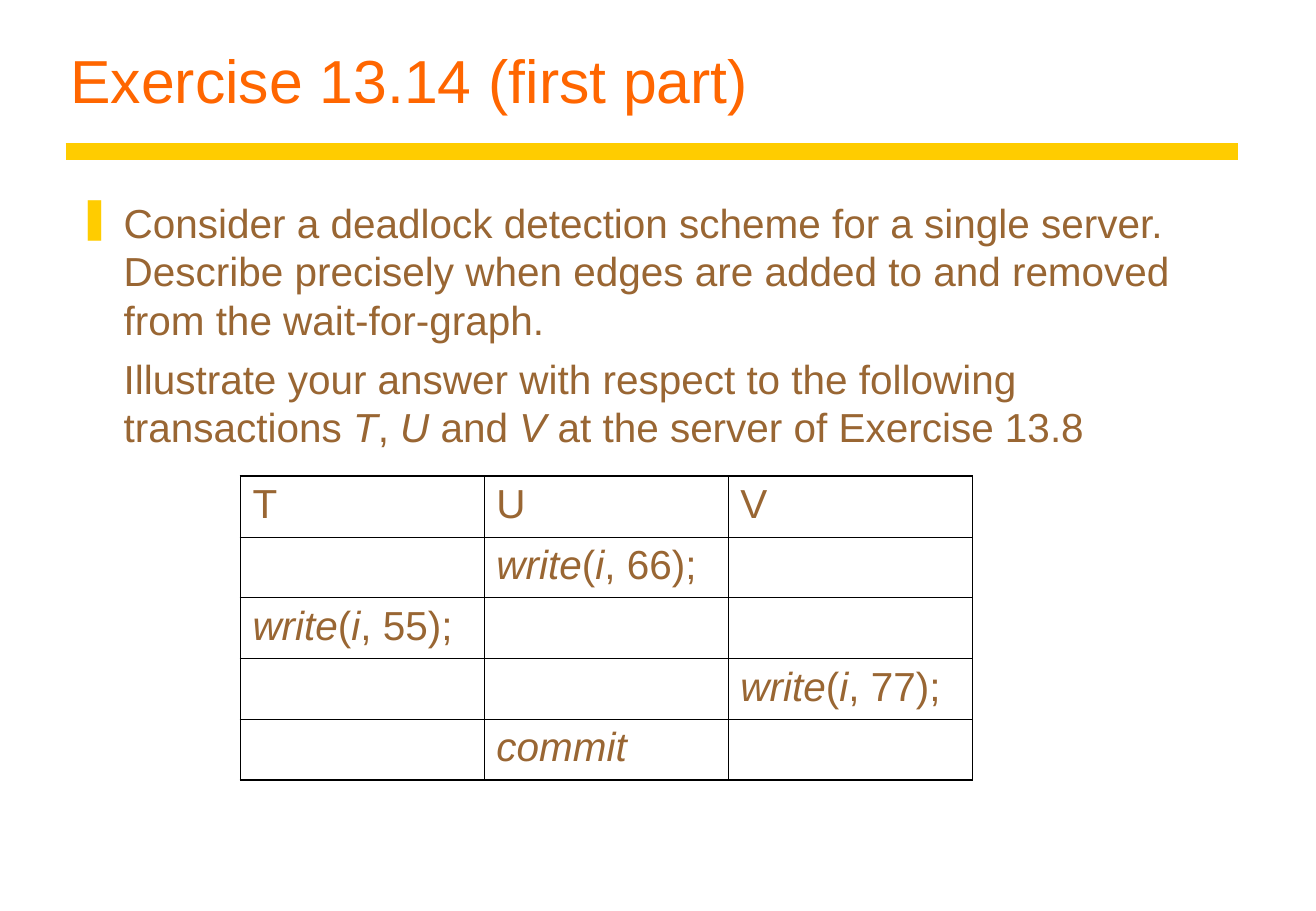
from dataclasses import dataclass

from lxml import etree
from pptx import Presentation
from pptx.dml.color import RGBColor
from pptx.enum.shapes import MSO_CONNECTOR
from pptx.enum.text import MSO_ANCHOR, PP_ALIGN
from pptx.oxml.ns import qn
from pptx.util import Inches, Pt

STRAIGHT = MSO_CONNECTOR.STRAIGHT
BOTTOM = MSO_ANCHOR.BOTTOM
TOP = MSO_ANCHOR.TOP
LEFT = PP_ALIGN.LEFT
TITLE_ONLY = 5


@dataclass(frozen=True)
class Theme:
    font: str = "Arial"
    title: str = "FF6600"
    text: str = "996633"
    accent: str = "FFCC00"
    border: str = "000000"
    title_size: float = 36
    text_size: float = 24
    paragraph_gap: float = 6
    rule_width: float = 10
    outer_border: float = 1.08
    inner_border: float = 0.45


THEME = Theme()

QUESTION = [
    [("Consider a deadlock detection scheme for a single server. Describe precisely "
      "when edges are added to and removed from the wait-for-graph.", False)],
    [("Illustrate your answer with respect to the following transactions ", False),
     ("T", True), (", ", False), ("U", True), (" and ", False), ("V", True),
     (" at the server of Exercise 13.8", False)],
]


def write_step(value):
    """Return the runs of one write operation."""
    return [("write", True), ("(", False), ("i", True), (f", {value});", False)]


SCHEDULE = [
    [[("T", False)], [("U", False)], [("V", False)]],
    [[], write_step(66), []],
    [write_step(55), [], []],
    [[], [], write_step(77)],
    [[], [("commit", True)], []],
]


def add_runs(paragraph, runs, size=THEME.text_size, color=THEME.text):
    """Add (text, italic) runs in the theme font."""
    paragraph.alignment = LEFT
    paragraph.font.size = Pt(size)
    for text, italic in runs:
        run = paragraph.add_run()
        run.text = text
        run.font.name = THEME.font
        run.font.size = Pt(size)
        run.font.italic = italic
        run.font.color.rgb = RGBColor.from_string(color)


def set_title(slide, text):
    """Place and format the title placeholder."""
    title = slide.shapes.title
    title.left, title.top = Inches(0.48), Inches(0.25)
    title.width, title.height = Inches(9.72), Inches(0.75)
    title.text_frame.vertical_anchor = BOTTOM
    add_runs(title.text_frame.paragraphs[0], [(text, False)], THEME.title_size, THEME.title)


def add_rule(slide):
    """Draw the thick line under the title."""
    y = Inches(1.25)
    rule = slide.shapes.add_connector(STRAIGHT, Inches(0.54), y, Inches(10.2), y)
    rule.line.color.rgb = RGBColor.from_string(THEME.accent)
    rule.line.width = Pt(THEME.rule_width)
    etree.SubElement(rule._element.spPr, qn("a:effectLst"))


def set_indent(paragraph, bullet=None):
    """Indent a paragraph, hanging a bullet in front if one is given."""
    properties = paragraph._p.get_or_add_pPr()
    indent = Inches(0.38)
    properties.set("marL", str(indent))
    properties.set("indent", str(-indent if bullet else 0))
    if bullet:
        color = etree.SubElement(properties, qn("a:buClr"))
        etree.SubElement(color, qn("a:srgbClr"), val=THEME.accent)
        etree.SubElement(properties, qn("a:buChar"), char=bullet)
    else:
        etree.SubElement(properties, qn("a:buNone"))


def add_question(slide):
    """Add the exercise text with a bullet on its first paragraph."""
    box = slide.shapes.add_textbox(Inches(0.54), Inches(1.58), Inches(9.69), Inches(5.25))
    frame = box.text_frame
    frame.word_wrap = True
    frame.vertical_anchor = TOP
    for index, runs in enumerate(QUESTION):
        paragraph = frame.add_paragraph() if index else frame.paragraphs[0]
        set_indent(paragraph, None if index else "❚")
        if index:
            paragraph.space_before = Pt(THEME.paragraph_gap)
        add_runs(paragraph, runs)


def set_borders(cell, outer_sides):
    """Draw the cell borders, heavier on the outer sides."""
    properties = cell._tc.get_or_add_tcPr()
    for position, side in enumerate(("lnL", "lnR", "lnT", "lnB")):
        width = THEME.outer_border if side in outer_sides else THEME.inner_border
        line = etree.Element(qn(f"a:{side}"), w=str(Pt(width)))
        fill = etree.SubElement(line, qn("a:solidFill"))
        etree.SubElement(fill, qn("a:srgbClr"), val=THEME.border)
        properties.insert(position, line)


def add_schedule(slide):
    """Add the table of transaction steps."""
    row_count, column_count = len(SCHEDULE), len(SCHEDULE[0])
    table = slide.shapes.add_table(
        row_count, column_count, Inches(1.98), Inches(3.92),
        Inches(2.01) * column_count, Inches(0.5) * row_count).table
    table.first_row = False
    table.horz_banding = False
    for r, row in enumerate(SCHEDULE):
        for c, runs in enumerate(row):
            cell = table.cell(r, c)
            cell.fill.background()
            add_runs(cell.text_frame.paragraphs[0], runs)
            edges = {"lnL": c == 0, "lnR": c == column_count - 1,
                     "lnT": r == 0, "lnB": r == row_count - 1}
            set_borders(cell, [side for side, outer in edges.items() if outer])


def main():
    """Build the slide and save it."""
    deck = Presentation()
    deck.slide_width, deck.slide_height = Inches(10.84), Inches(7.5)
    slide = deck.slides.add_slide(deck.slide_layouts[TITLE_ONLY])
    add_rule(slide)
    set_title(slide, "Exercise 13.14 (first part)")
    add_question(slide)
    add_schedule(slide)
    deck.save("out.pptx")


if __name__ == "__main__":
    main()
